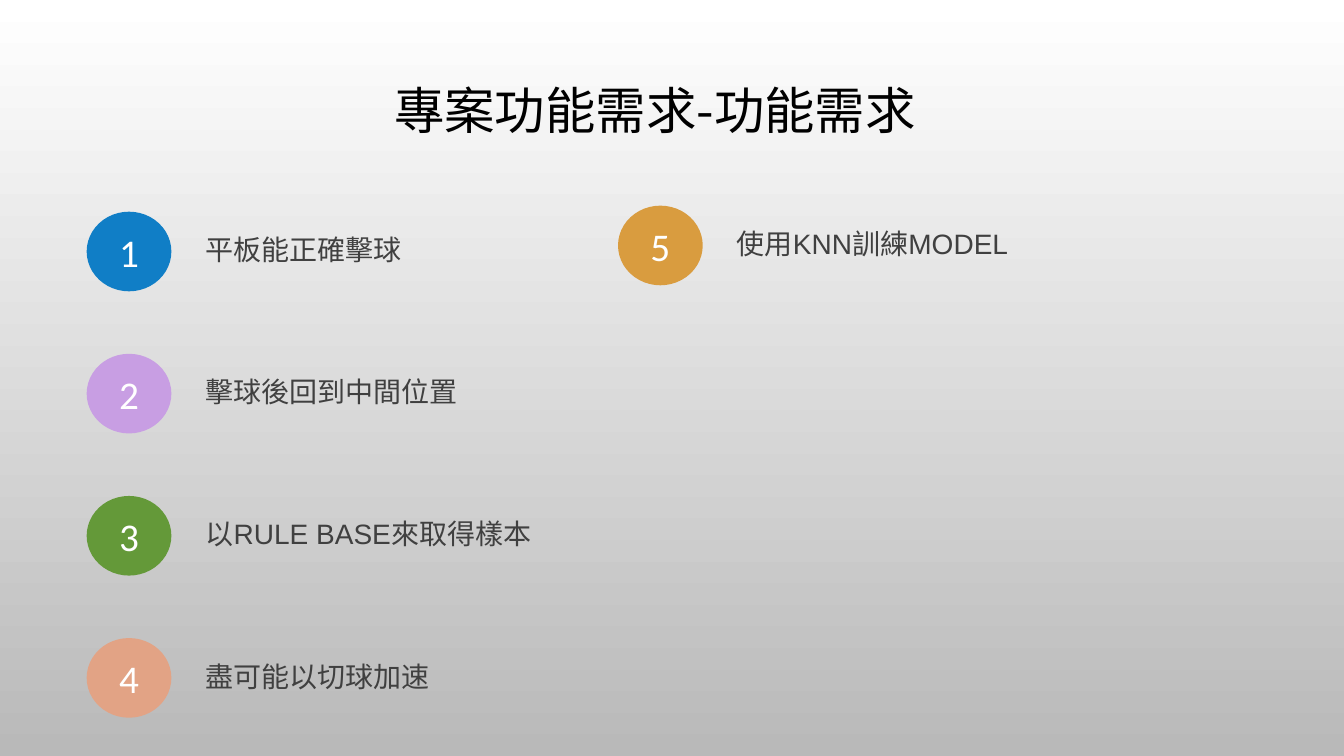
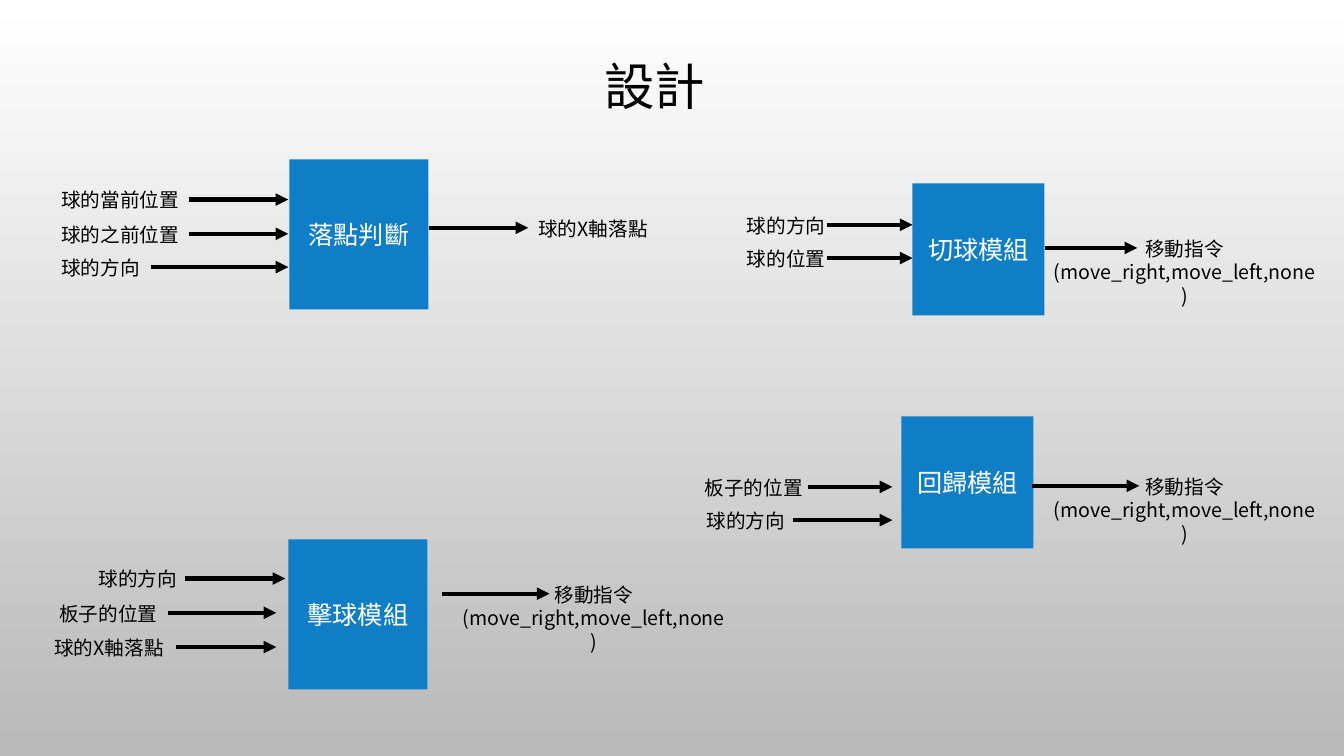
from lxml import etree
from pptx import Presentation
from pptx.dml.color import RGBColor
from pptx.enum.shapes import MSO_CONNECTOR, MSO_SHAPE
from pptx.enum.text import MSO_ANCHOR, PP_ALIGN
from pptx.oxml.ns import qn
from pptx.util import Inches, Pt

LEFT, CENTER = PP_ALIGN.LEFT, PP_ALIGN.CENTER
TOP, MIDDLE = MSO_ANCHOR.TOP, MSO_ANCHOR.MIDDLE
RECT, OVAL = MSO_SHAPE.RECTANGLE, MSO_SHAPE.OVAL
STRAIGHT = MSO_CONNECTOR.STRAIGHT

COLORS = {
    "top": "FFFFFF", "bottom": "B9B9B9",
    "black": "000000", "white": "FFFFFF", "gray": "404040",
    "blue": "107EC6", "purple": "C89EE3", "green": "649939",
    "salmon": "E2A385", "amber": "D99C3F",
}
TITLE_FONT = "Noto Sans CJK TC"
LABEL_FONT = "Noto Sans CJK SC"

# Requirements: text, colour, font
REQUIREMENTS = [
    ("平板能正確擊球", "blue", "Calibri"),
    ("擊球後回到中間位置", "purple", "Calibri"),
    ("以RULE BASE來取得樣本", "green", "Arial"),
    ("盡可能以切球加速", "salmon", "Calibri"),
    ("使用KNN訓練MODEL", "amber", "Arial"),
]
PER_COLUMN = 4
COLUMN_STARTS = [(0.86, 2.10), (6.13, 2.04)]
ROW_STEP = 1.41

MOVE_COMMAND = "移動指令\n(move_right,move_left,none)"
LABEL_TO_ARROW = 0.16

# box: left, top, width, height
# inputs: text, left, top, width, arrow start, arrow end
# output: text, left, top, width, height, alignment, arrow start, arrow end
MODULES = [
    dict(name="落點判斷", box=(2.87, 1.58, 1.38, 1.49),
         inputs=[("球的當前位置", 0.51, 1.82, 1.38, 1.87, 2.86),
                 ("球的之前位置", 0.51, 2.16, 1.38, 1.87, 2.86),
                 ("球的方向", 0.51, 2.49, 0.99, 1.50, 2.86)],
         output=("球的X軸落點", 5.24, 2.10, 1.31, 0.34, LEFT, 4.25, 5.24)),
    dict(name="擊球模組", box=(2.86, 5.35, 1.38, 1.49),
         inputs=[("球的方向", 0.88, 5.58, 0.99, 1.84, 2.83),
                 ("板子的位置", 0.49, 5.92, 1.18, 1.67, 2.74),
                 ("球的X軸落點", 0.44, 6.26, 1.31, 1.75, 2.74)],
         output=(MOVE_COMMAND, 4.47, 5.73, 2.84, 0.57, CENTER, 4.38, 5.45)),
    dict(name="切球模組", box=(9.05, 1.82, 1.31, 1.31),
         inputs=[("球的方向", 7.31, 2.07, 0.99, 8.20, 9.05),
                 ("球的位置", 7.31, 2.40, 0.99, 8.20, 9.05)],
         output=(MOVE_COMMAND, 10.33, 2.30, 2.84, 0.57, CENTER, 10.36, 11.28)),
    dict(name="回歸模組", box=(8.94, 4.13, 1.31, 1.31),
         inputs=[("板子的位置", 6.89, 4.67, 1.18, 8.01, 8.85),
                 ("球的方向", 6.91, 5.00, 0.99, 7.87, 8.85)],
         output=(MOVE_COMMAND, 10.33, 4.66, 2.84, 0.57, CENTER, 10.24, 11.30)),
]


def rgb(name):
    return RGBColor.from_string(COLORS[name])


def write(tf, text, *, size, font, color="black", align=LEFT, anchor=TOP,
          spacing=None):
    """Fill a text frame, one paragraph per line of text."""
    tf.word_wrap = True
    tf.vertical_anchor = anchor
    for i, line in enumerate(text.split("\n")):
        p = tf.paragraphs[0] if i == 0 else tf.add_paragraph()
        p.alignment = align
        if spacing:
            p.line_spacing = spacing
        r = p.add_run()
        r.text = line
        r.font.size = Pt(size)
        r.font.name = font
        r.font.color.rgb = rgb(color)
        east_asian = etree.SubElement(r.font._element, qn("a:ea"))
        east_asian.set("typeface", font if "CJK" in font else TITLE_FONT)


def add_text(shapes, text, box, **fmt):
    tb = shapes.add_textbox(*map(Inches, box))
    write(tb.text_frame, text, **fmt)


def add_block(shapes, kind, text, box, fill, size):
    """Add a filled shape with centred white text."""
    sp = shapes.add_shape(kind, *map(Inches, box))
    sp.shadow.inherit = False
    sp.fill.solid()
    sp.fill.fore_color.rgb = rgb(fill)
    sp.line.fill.background()
    write(sp.text_frame, text, size=size, font="Calibri", color="white",
          align=CENTER, anchor=MIDDLE)


def add_arrow(shapes, start, end, y):
    line = shapes.add_connector(STRAIGHT, Inches(start), Inches(y),
                                Inches(end), Inches(y))
    line.line.color.rgb = rgb("black")
    line.line.width = Pt(3)
    etree.SubElement(line.line._get_or_add_ln(), qn("a:tailEnd"), type="triangle")
    etree.SubElement(line._element.spPr, qn("a:effectLst"))


def add_slide(prs, title, top, height):
    """Add a slide with the shared gradient background and title."""
    s = prs.slides.add_slide(prs.slide_layouts[6])
    fill = s.background.fill
    fill.gradient()
    fill.gradient_angle = 270
    for stop, name in zip(fill.gradient_stops, ("top", "bottom")):
        stop.color.rgb = rgb(name)
    add_text(s.shapes, title, (0.97, top, 11.05, height), size=36,
             font=TITLE_FONT, align=CENTER, anchor=MIDDLE, spacing=0.9)
    return s


def add_requirement(shapes, index, text, color, font):
    column, row = divmod(index, PER_COLUMN)
    left, top = COLUMN_STARTS[column]
    top += row * ROW_STEP
    add_block(shapes, OVAL, str(index + 1), (left, top, 0.84, 0.79), color, 28)
    add_text(shapes, text, (left + 1.08, top + 0.16, 5.63, 0.44), size=20,
             font=font, color="gray")


def add_module(slide, name, box, inputs, output):
    """Add a grouped box with its labelled input and output arrows."""
    shapes = slide.shapes.add_group_shape().shapes
    add_block(shapes, RECT, name, box, "blue", 18)
    labels = [(*item[:4], 0.34, LEFT, *item[4:]) for item in inputs]
    for text, left, top, width, height, align, start, end in [*labels, output]:
        add_text(shapes, text, (left, top, width, height), size=14,
                 font=LABEL_FONT, align=align)
        add_arrow(shapes, start, end, top + LABEL_TO_ARROW)


def main():
    prs = Presentation()
    prs.slide_width, prs.slide_height = Inches(13.33), Inches(7.5)

    s = add_slide(prs, "專案功能需求-功能需求", 0.73, 0.79)
    for i, requirement in enumerate(REQUIREMENTS):
        add_requirement(s.shapes, i, *requirement)

    s = add_slide(prs, "設計", 0.56, 0.66)
    for module in MODULES:
        add_module(s, **module)

    prs.save("out.pptx")


if __name__ == "__main__":
    main()
